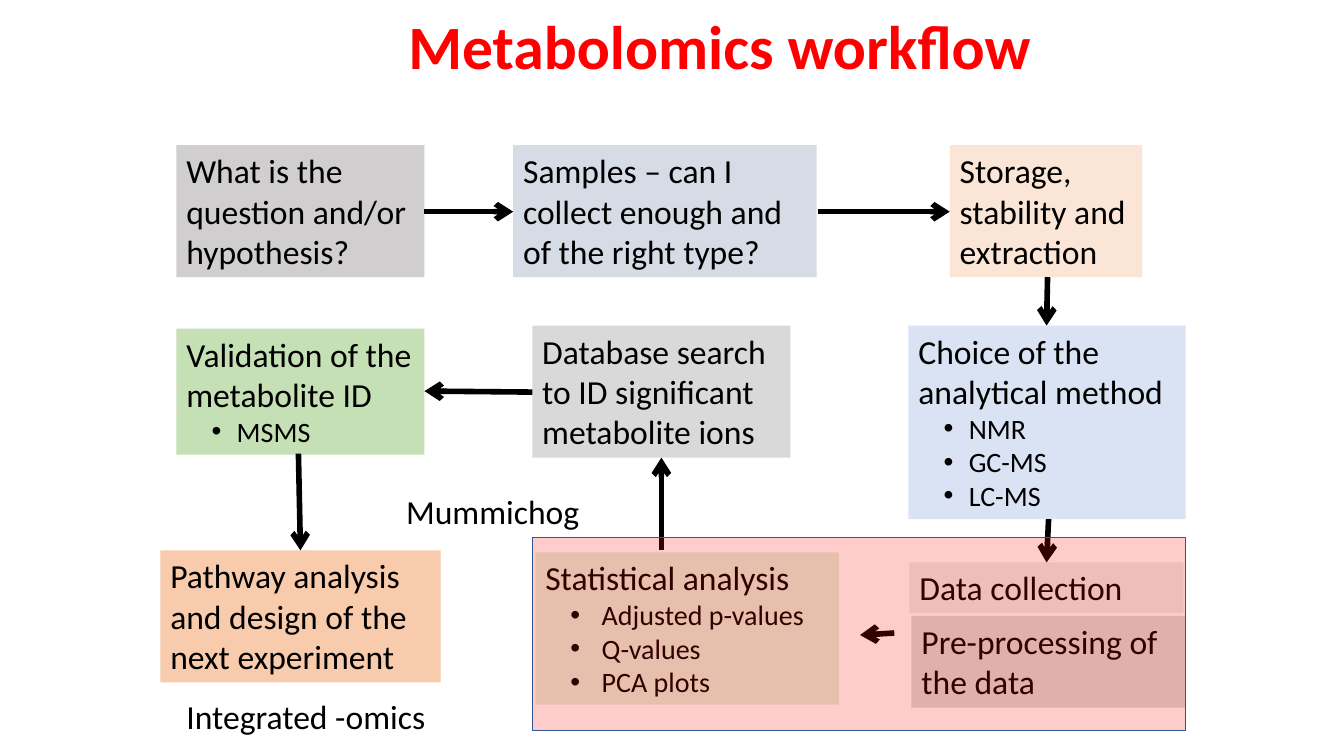
from dataclasses import dataclass
from lxml.etree import SubElement as Sub
from pptx import Presentation
from pptx.dml.color import RGBColor as RGB
from pptx.enum.shapes import MSO_CONNECTOR as Conn, MSO_SHAPE as Kind
from pptx.enum.text import MSO_ANCHOR as Anchor, PP_ALIGN as Align
from pptx.oxml.ns import qn
from pptx.util import Inches, Pt


@dataclass(frozen=True)
class Theme:
    font: str = "Calibri"
    title: int = 44
    body: int = 24
    item: int = 20
    line: int = 4
    ink: str = "000000"
    red: str = "FF0000"
    edge: str = "325491"


class Board:
    def __init__(self, slide, theme):
        self.slide, self.theme = slide, theme

    def run(self, par, text, size, color, bold=False):
        run = par.add_run()
        run.text = text
        font = run.font
        font.name, font.size, font.bold = self.theme.font, Pt(size), bold
        font.color.rgb = RGB.from_string(color)

    def label(self, spot, text, size=None, color=None, bold=False, wrap=False, align=Align.LEFT):
        box = self.slide.shapes.add_textbox(*map(Inches, spot))
        frame = box.text_frame
        frame.word_wrap = wrap
        par = frame.paragraphs[0]
        par.alignment = align
        self.run(par, text, size or self.theme.body, color or self.theme.ink, bold)

    def rect(self, spot, fill):
        box = self.slide.shapes.add_shape(Kind.RECTANGLE, *map(Inches, spot))
        box.shadow.inherit = False
        box.fill.solid()
        box.fill.fore_color.rgb = RGB.from_string(fill)
        box.line.fill.background()
        return box

    def step(self, spot, fill, text, items=(), indent=0.25):
        frame = self.rect(spot, fill).text_frame
        frame.word_wrap = True
        frame.vertical_anchor = Anchor.TOP
        par = frame.paragraphs[0]
        par.alignment = Align.LEFT
        self.run(par, text, self.theme.body, self.theme.ink)
        for item in items:
            self.bullet(frame.add_paragraph(), item, indent)

    def bullet(self, par, text, indent):
        par.alignment, par.level = Align.LEFT, 1
        props = par._p.get_or_add_pPr()
        props.set("marL", str(Inches(0.25 + indent)))
        props.set("indent", str(-Inches(indent)))
        Sub(props, qn("a:buFont"), typeface="Arial")
        Sub(props, qn("a:buChar"), char="•")
        self.run(par, text, self.theme.item, self.theme.ink)

    def arrow(self, *ends):
        link = self.slide.shapes.add_connector(Conn.STRAIGHT, *map(Inches, ends))
        link.line.color.rgb = RGB.from_string(self.theme.ink)
        link.line.width = Pt(self.theme.line)
        Sub(link.line._get_or_add_ln(), qn("a:tailEnd"), type="arrow")
        Sub(link._element.spPr, qn("a:effectLst"))

    def veil(self, spot, fill, alpha):
        box = self.rect(spot, fill)
        box.line.color.rgb = RGB.from_string(self.theme.edge)
        box.line.width = Pt(1)
        tint = box._element.spPr.find(qn("a:solidFill"))[0]
        Sub(tint, qn("a:alpha"), val=str(alpha * 1000))


deck = Presentation()
deck.slide_width, deck.slide_height = Inches(13.33), Inches(7.5)
theme = Theme()
board = Board(deck.slides.add_slide(deck.slide_layouts[6]), theme)

# Title
board.label((2.64, 0.03, 9, 1.25), "Metabolomics workflow", theme.title, theme.red,
            bold=True, wrap=True, align=Align.CENTER)

# Steps, in workflow order
top, mid, tall = 1.44, 3.23, 1.31
steps = [
    ((1.75, top, 2.46, tall), "D0CECE", "What is the question and/or hypothesis?"),
    ((5.09, top, 3.01, tall), "D6DCE5", "Samples – can I collect enough and of the right type?"),
    ((9.42, top, 1.91, tall), "FBE5D6", "Storage, stability and extraction"),
    ((9.01, mid, 2.75, 1.92), "DAE3F3", "Choice of the analytical method",
     ("NMR", "GC-MS", "LC-MS")),
    ((9.02, 5.58, 2.72, 0.5), "EDEDED", "Data collection"),
    ((9.04, 6.11, 2.72, 0.91), "DBDBDB", "Pre-processing of the data"),
    ((5.31, 5.48, 3.01, 1.51), "E2F0D9", "Statistical analysis",
     ("Adjusted p-values", "Q-values", "PCA plots"), 0.31),
    ((5.28, mid, 2.56, tall), "D9D9D9", "Database search to ID significant metabolite ions"),
    ((1.75, 3.26, 2.46, 1.25), "C5E0B4", "Validation of the metabolite ID", ("MSMS",)),
    ((1.59, 5.46, 2.78, tall), "F8CBAD", "Pathway analysis and design of the next experiment"),
]
for step in steps:
    board.step(*step)

# Arrows between steps
for ends in [
    (4.21, 2.1, 5.09, 2.1),
    (8.11, 2.1, 9.42, 2.1),
    (10.39, 2.75, 10.38, 3.23),
    (10.4, 5.15, 10.38, 5.58),
    (8.87, 6.28, 8.53, 6.3),
    (6.56, 5.46, 6.56, 4.54),
    (5.28, 3.89, 4.21, 3.88),
    (2.96, 4.5, 2.98, 5.46),
]:
    board.arrow(*ends)

# Side notes
board.label((3.93, 4.82, 1.93, 0.5), "Mummichog")
board.label((1.75, 6.85, 2.59, 0.5), "Integrated -omics")

# Highlight over the data steps
board.veil((5.28, 5.33, 6.48, 1.92), theme.red, 20)

deck.save("out.pptx")
